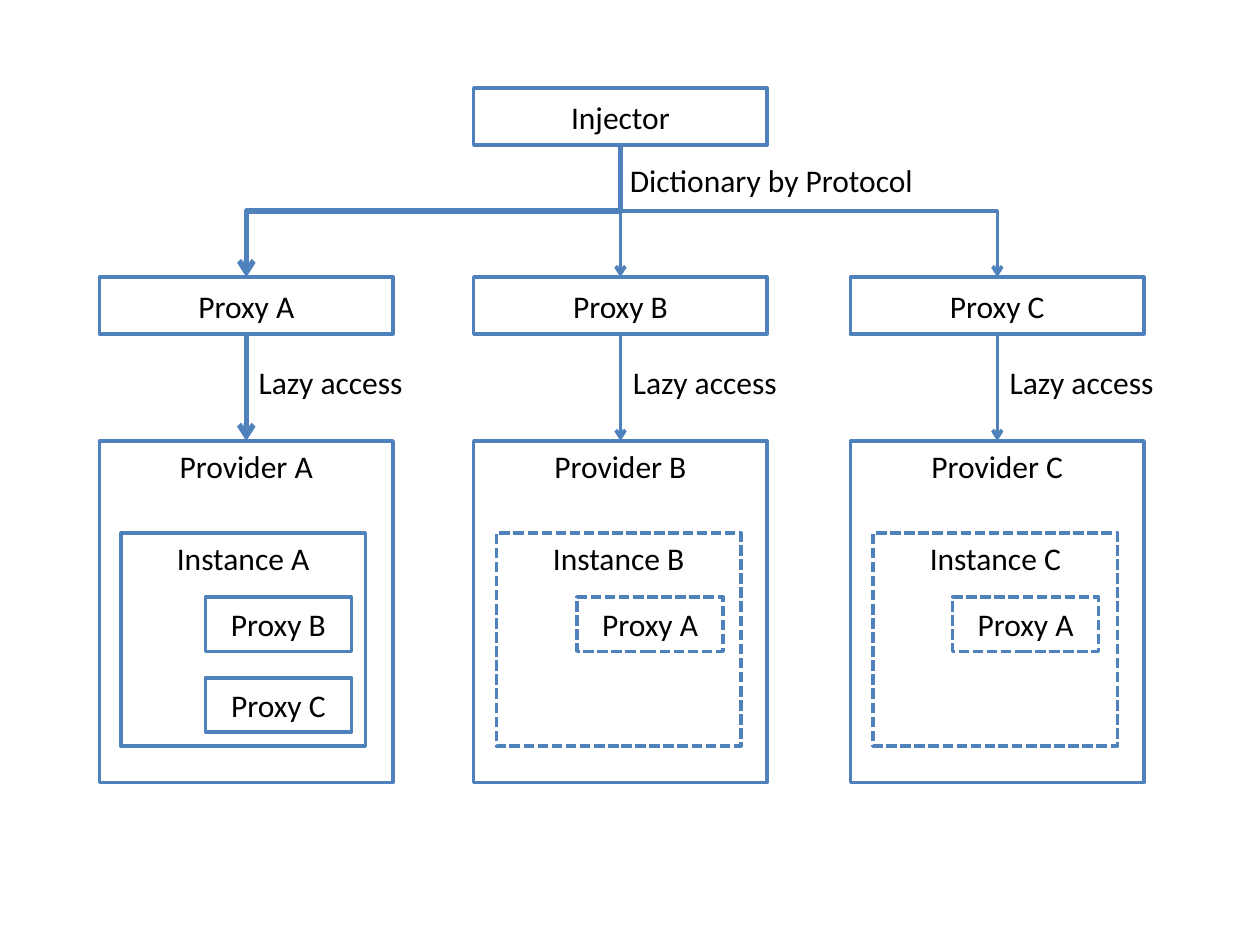
import pptx
import pptx.util
import pptx.dml.color
import pptx.enum.dml
import pptx.enum.shapes
import pptx.enum.text
import pptx.oxml
import pptx.oxml.ns
from pptx.util import Inches

COLORS = {"line": "4F81BD", "fill": "FFFFFF", "text": "000000"}
BOX_W, BAR_H = 2.33, 0.45
INJECTOR_Y, PROXY_Y, PROVIDER_Y, INSTANCE_Y = 0.7, 2.2, 3.5, 4.23
INNER_Y, INNER_STEP = 4.74, 0.64

# name, left, instance left, inner left, inner proxies, arrow width, dashed
COLUMNS = [
    ("A", 0.79, 0.96, 1.63, "BC", 3, False),
    ("B", 3.76, 3.94, 4.58, "A", 2, True),
    ("C", 6.75, 6.93, 7.56, "A", 2, True),
]


def rgb(name):
    return pptx.dml.color.RGBColor.from_string(COLORS[name])


class Diagram:
    def __init__(self, slide, font="Calibri", size=18):
        self.s = slide
        self.font = font
        self.size = size

    def add_text(self, tf, text, align):
        p = tf.paragraphs[0]
        p.alignment = align
        r = p.add_run()
        r.text = text
        r.font.name = self.font
        r.font.size = pptx.util.Pt(self.size)
        r.font.color.rgb = rgb("text")

    def box(self, text, x, y, w, h, top=False, dashed=False):
        sp = self.s.shapes.add_shape(pptx.enum.shapes.MSO_SHAPE.RECTANGLE,
                                     Inches(x), Inches(y), Inches(w), Inches(h))
        sp.shadow.inherit = False
        sp.fill.solid()
        sp.fill.fore_color.rgb = rgb("fill")
        sp.line.color.rgb = rgb("line")
        sp.line.width = pptx.util.Pt(2)
        if dashed:
            sp.line.dash_style = pptx.enum.dml.MSO_LINE.SQUARE_DOT
        anchor = pptx.enum.text.MSO_ANCHOR
        sp.text_frame.vertical_anchor = anchor.TOP if top else anchor.MIDDLE
        self.add_text(sp.text_frame, text, pptx.enum.text.PP_ALIGN.CENTER)

    def label(self, text, x, y, w):
        sp = self.s.shapes.add_textbox(Inches(x), Inches(y), Inches(w), Inches(0.4))
        tf = sp.text_frame
        tf.word_wrap = False
        tf.auto_size = pptx.enum.text.MSO_AUTO_SIZE.SHAPE_TO_FIT_TEXT
        self.add_text(tf, text, pptx.enum.text.PP_ALIGN.LEFT)

    def connector(self, kind, x1, y1, x2, y2, width):
        c = self.s.shapes.add_connector(kind, Inches(x1), Inches(y1),
                                        Inches(x2), Inches(y2))
        c.line.color.rgb = rgb("line")
        c.line.width = pptx.util.Pt(width)
        ns = pptx.oxml.ns.nsdecls("a")
        spPr = c._element.spPr
        spPr.get_or_add_ln().append(
            pptx.oxml.parse_xml(f'<a:tailEnd {ns} type="arrow"/>'))
        spPr.append(pptx.oxml.parse_xml(f"<a:effectLst {ns}/>"))
        return c

    def arrow(self, x, y1, y2, width):
        kind = pptx.enum.shapes.MSO_CONNECTOR.STRAIGHT
        self.connector(kind, x, y1, x, y2, width)

    def branch(self, x1, y1, x2, y2, width):
        """Elbow that leaves and arrives vertically: a horizontal one, turned."""
        mid_x, mid_y = (x1 + x2) / 2, (y1 + y2) / 2
        half_w, half_h = (y2 - y1) / 2, abs(x2 - x1) / 2
        to_left = x2 < x1
        if not to_left:
            half_w = -half_w
        c = self.connector(pptx.enum.shapes.MSO_CONNECTOR.ELBOW,
                           mid_x - half_w, mid_y - half_h,
                           mid_x + half_w, mid_y + half_h, width)
        c._element.spPr.xfrm.set("rot", str((90 if to_left else 270) * 60000))


def main():
    prs = pptx.Presentation()
    prs.slide_width, prs.slide_height = Inches(10), Inches(7.5)
    d = Diagram(prs.slides.add_slide(prs.slide_layouts[6]))

    injector_x = COLUMNS[1][1]
    root_x = injector_x + BOX_W / 2
    d.box("Injector", injector_x, INJECTOR_Y, BOX_W, BAR_H)

    for name, x, instance_x, inner_x, proxies, width, dashed in COLUMNS:
        center = x + BOX_W / 2
        d.box(f"Provider {name}", x, PROVIDER_Y, BOX_W, 2.71, top=True)
        d.box(f"Instance {name}", instance_x, INSTANCE_Y, 1.94, 1.69,
              top=True, dashed=dashed)
        for i, proxy in enumerate(proxies):
            d.box(f"Proxy {proxy}", inner_x, INNER_Y + i * INNER_STEP,
                  1.16, 0.43, dashed=dashed)
        d.box(f"Proxy {name}", x, PROXY_Y, BOX_W, BAR_H)
        d.arrow(center, PROXY_Y + BAR_H, PROVIDER_Y, width)
        d.label("Lazy access", center, 2.83, 1.36)
        d.branch(root_x, INJECTOR_Y + BAR_H, center, PROXY_Y, width)

    d.label("Dictionary by Protocol", 4.9, 1.23, 2.48)
    prs.save("out.pptx")


if __name__ == "__main__":
    main()
